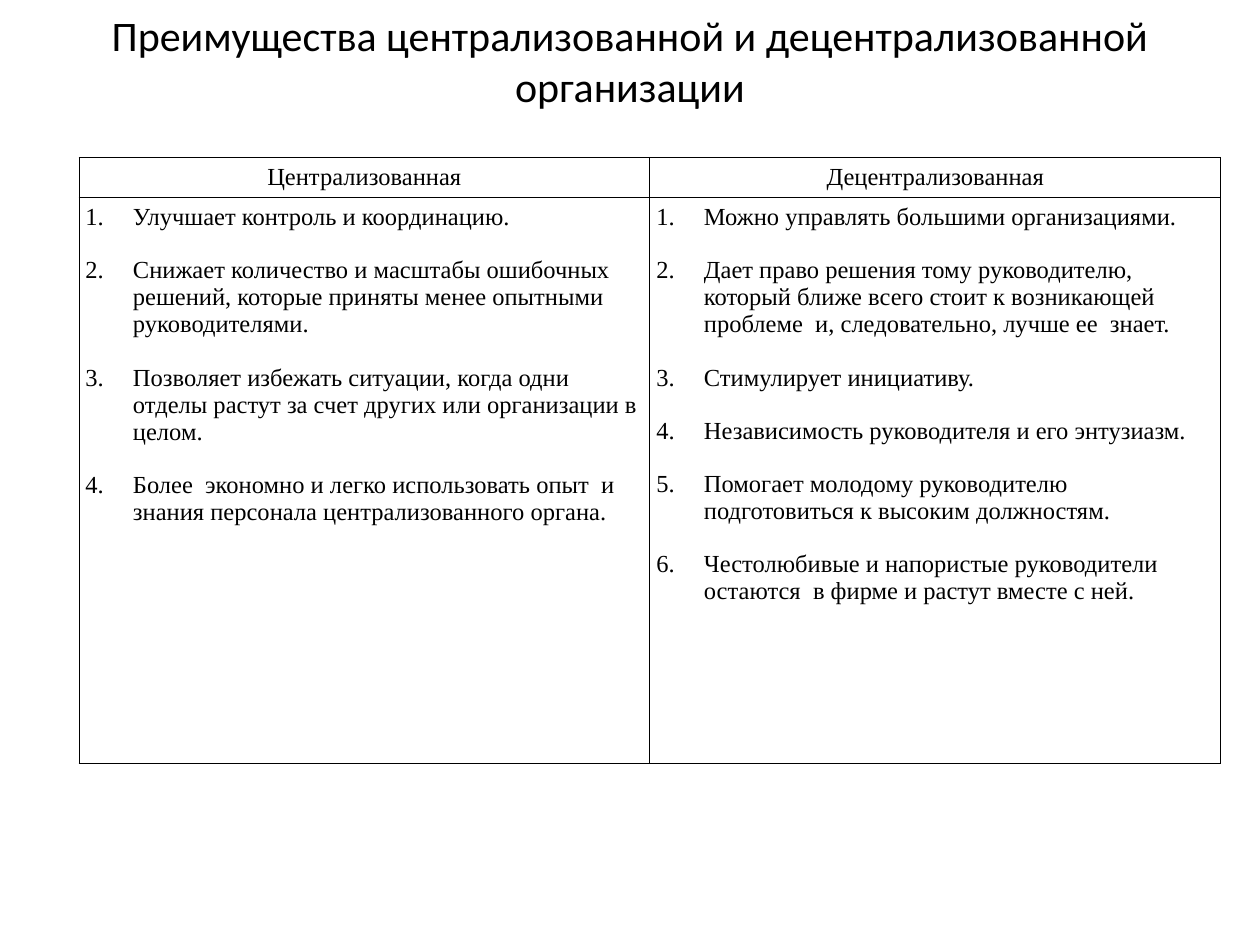
from pptx import Presentation
from pptx import util as u
from pptx.dml.color import RGBColor
from pptx.enum import text as t
from pptx.oxml import parse_xml
from pptx.oxml.ns import nsdecls

INK = {"text": "000000", "line": "000000"}
SIDES = ["lnL", "lnR", "lnT", "lnB"]
LISTS = {
    "Централизованная": [
        "Улучшает контроль и координацию.",
        "Снижает количество и масштабы ошибочных решений, которые приняты менее опытными руководителями.",
        "Позволяет избежать ситуации, когда одни отделы растут за счет других или организации в целом.",
        "Более  экономно и легко использовать опыт  и знания персонала централизованного органа.",
    ],
    "Децентрализованная": [
        "Можно управлять большими организациями.",
        "Дает право решения тому руководителю, который ближе всего стоит к возникающей проблеме  и, следовательно, лучше ее  знает.",
        "Стимулирует инициативу.",
        "Независимость руководителя и его энтузиазм.",
        "Помогает молодому руководителю подготовиться к высоким должностям.",
        "Честолюбивые и напористые руководители остаются  в фирме и растут вместе с ней.",
    ],
}


def style(obj, vals):
    for key, val in vals.items():
        setattr(obj, key, val)


def write(cell, lines, numbered):
    style(cell, dict.fromkeys(
        ["margin_left", "margin_right", "margin_top", "margin_bottom"], u.Cm(0.13)))
    cell.fill.background()
    props = cell._tc.get_or_add_tcPr()
    # Thin border on every side
    for i, side in enumerate(SIDES):
        props.insert(i, parse_xml(
            f'<a:{side} {nsdecls("a")} w="5715"><a:solidFill>'
            f'<a:srgbClr val="{INK["line"]}"/></a:solidFill></a:{side}>'))
    # Paragraphs
    frame = cell.text_frame
    frame.text = "\n".join(lines)
    for para in frame.paragraphs:
        style(para, {"space_before": u.Pt(0.5), "space_after": u.Pt(14.4),
                     "alignment": t.PP_ALIGN.LEFT if numbered else t.PP_ALIGN.CENTER})
        font = para.runs[0].font
        style(font, {"name": "Times New Roman", "size": u.Pt(14), "bold": False})
        font.color.rgb = RGBColor.from_string(INK["text"])
        if numbered:
            ppr = para._p.get_or_add_pPr()
            ppr.set("marL", str(u.Cm(0.96)))
            ppr.set("indent", str(-u.Cm(0.96)))
            ppr.append(parse_xml(f'<a:buFont {nsdecls("a")} typeface="Times New Roman"/>'))
            ppr.append(parse_xml(f'<a:buAutoNum {nsdecls("a")} type="arabicPeriod"/>'))


deck = Presentation()
style(deck, {"slide_width": u.Cm(25.4), "slide_height": u.Cm(19.05)})
slide = deck.slides.add_slide(deck.slide_layouts[5])

# Title
title = slide.shapes.title
style(title, {"left": u.Cm(1.27), "top": u.Cm(0.76),
              "width": u.Cm(22.86), "height": u.Cm(1.83)})
frame = title.text_frame
frame.text = "Преимущества централизованной и децентрализованной организации"
style(frame, {"word_wrap": True, "auto_size": t.MSO_AUTO_SIZE.NONE,
              "vertical_anchor": t.MSO_ANCHOR.MIDDLE,
              "margin_top": 0, "margin_bottom": u.Cm(0.93)})
frame.paragraphs[0].alignment = t.PP_ALIGN.CENTER
font = frame.paragraphs[0].runs[0].font
style(font, {"name": "Calibri", "size": u.Pt(24)})
font.color.rgb = RGBColor.from_string(INK["text"])

# Table of advantages
table = slide.shapes.add_table(2, len(LISTS), u.Cm(1.59), u.Cm(3.17),
                               u.Cm(23.02), u.Cm(12.11)).table
style(table, {"first_row": False, "horz_banding": False})
for row, high in zip(table.rows, [0.69, 11.42]):
    row.height = u.Cm(high)
for col, (head, items) in enumerate(LISTS.items()):
    table.columns[col].width = u.Cm(11.51)
    write(table.cell(0, col), [head], False)
    write(table.cell(1, col), items, True)

deck.save("out.pptx")
